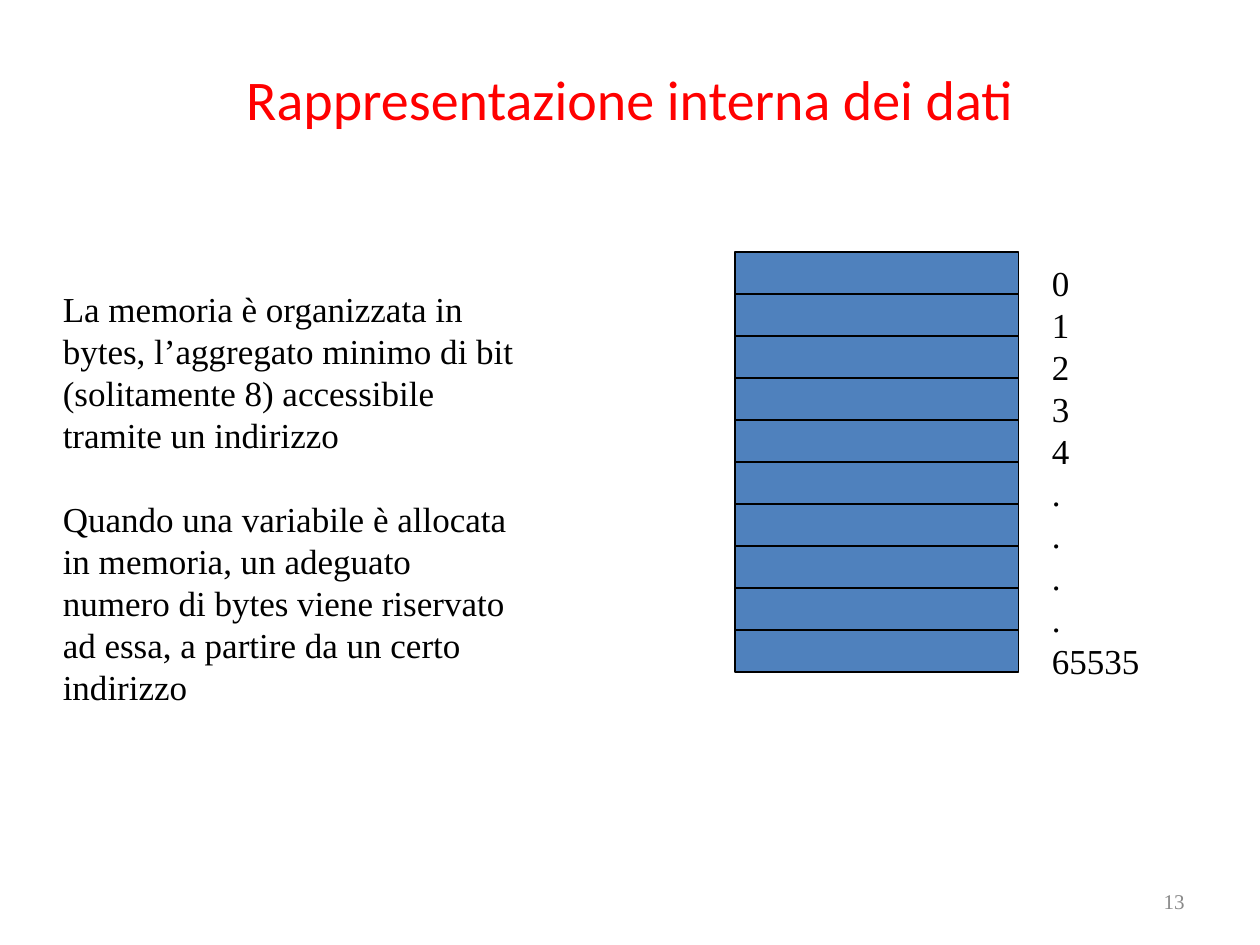
from pptx import Presentation
from pptx.dml.color import RGBColor
from pptx.enum.shapes import MSO_SHAPE
from pptx.enum.text import MSO_ANCHOR as Anchor, PP_ALIGN as Align
from pptx.util import Pt

TITLE = "Rappresentazione interna dei dati"
EXPLANATION = [
    "La memoria è organizzata in bytes, l’aggregato minimo di bit "
    "(solitamente 8) accessibile tramite un indirizzo",
    "Quando una variabile è allocata in memoria, un adeguato numero di bytes "
    "viene riservato ad essa, a partire da un certo indirizzo",
]
ADDRESSES = ["0", "1", "2", "3", "4", ".", ".", ".", ".", "65535"]
PAGE_NUMBER = "13"

SERIF = "Times New Roman"
LINE_HEIGHT = 24
MEMORY_LEFT, MEMORY_TOP, MEMORY_WIDTH = 420, 144, 162


def color(hex_string):
    return RGBColor.from_string(hex_string)


def place(shape, left, top, width, height):
    shape.left, shape.top = Pt(left), Pt(top)
    shape.width, shape.height = Pt(width), Pt(height)


def format_text(text_frame, font_name, size, hex_string, align):
    for paragraph in text_frame.paragraphs:
        paragraph.alignment = align
        for run in paragraph.runs:
            run.font.name = font_name
            run.font.size = Pt(size)
            run.font.color.rgb = color(hex_string)


def add_text(slide, lines, box, size=20, hex_string="000000", align=Align.LEFT):
    text_frame = slide.shapes.add_textbox(*map(Pt, box)).text_frame
    text_frame.word_wrap = True
    text_frame.text = "\n".join(lines)
    format_text(text_frame, SERIF, size, hex_string, align)
    return text_frame


def add_lines(slide, lines, box, gap=0):
    text_frame = add_text(slide, lines, box)
    text_frame.margin_top = Pt(5.2)
    for paragraph in text_frame.paragraphs:
        paragraph.line_spacing = Pt(LINE_HEIGHT)
    for paragraph in text_frame.paragraphs[:-1]:
        paragraph.space_after = Pt(gap)


def add_memory_cell(slide, row):
    cell = slide.shapes.add_shape(
        MSO_SHAPE.RECTANGLE, Pt(MEMORY_LEFT), Pt(MEMORY_TOP + row * LINE_HEIGHT),
        Pt(MEMORY_WIDTH), Pt(LINE_HEIGHT))
    cell.shadow.inherit = False
    cell.fill.solid()
    cell.fill.fore_color.rgb = color("4F81BD")
    cell.line.color.rgb = color("000000")
    cell.line.width = Pt(0.75)


def main():
    """Build the slide on how memory holds data."""
    presentation = Presentation()
    presentation.slide_width, presentation.slide_height = Pt(720), Pt(540)
    slide = presentation.slides.add_slide(presentation.slide_layouts[5])

    number = add_text(slide, [PAGE_NUMBER], (516, 500.5, 168, 28.75), 12, "898989", Align.RIGHT)
    number.vertical_anchor = Anchor.MIDDLE

    title = slide.shapes.title
    place(title, 36, 21.6, 648, 68.4)
    title.text_frame.text = TITLE
    title.text_frame.vertical_anchor = Anchor.MIDDLE
    format_text(title.text_frame, "Calibri", 32, "FF0000", Align.CENTER)

    add_lines(slide, EXPLANATION, (28.8, 159, 277, 247.7), gap=LINE_HEIGHT)
    add_lines(slide, ADDRESSES, (594, MEMORY_TOP, 72, 247.7))
    for row in range(len(ADDRESSES)):
        add_memory_cell(slide, row)

    presentation.save("out.pptx")


if __name__ == "__main__":
    main()
